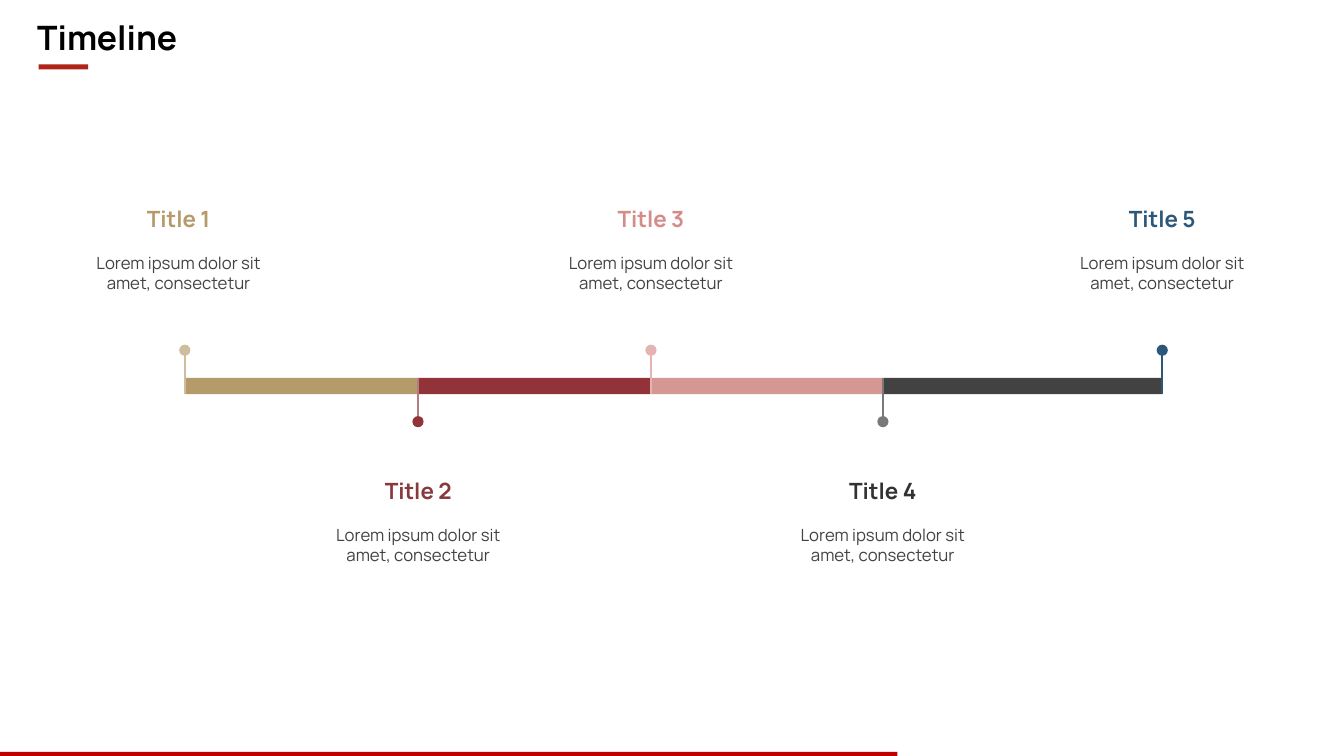
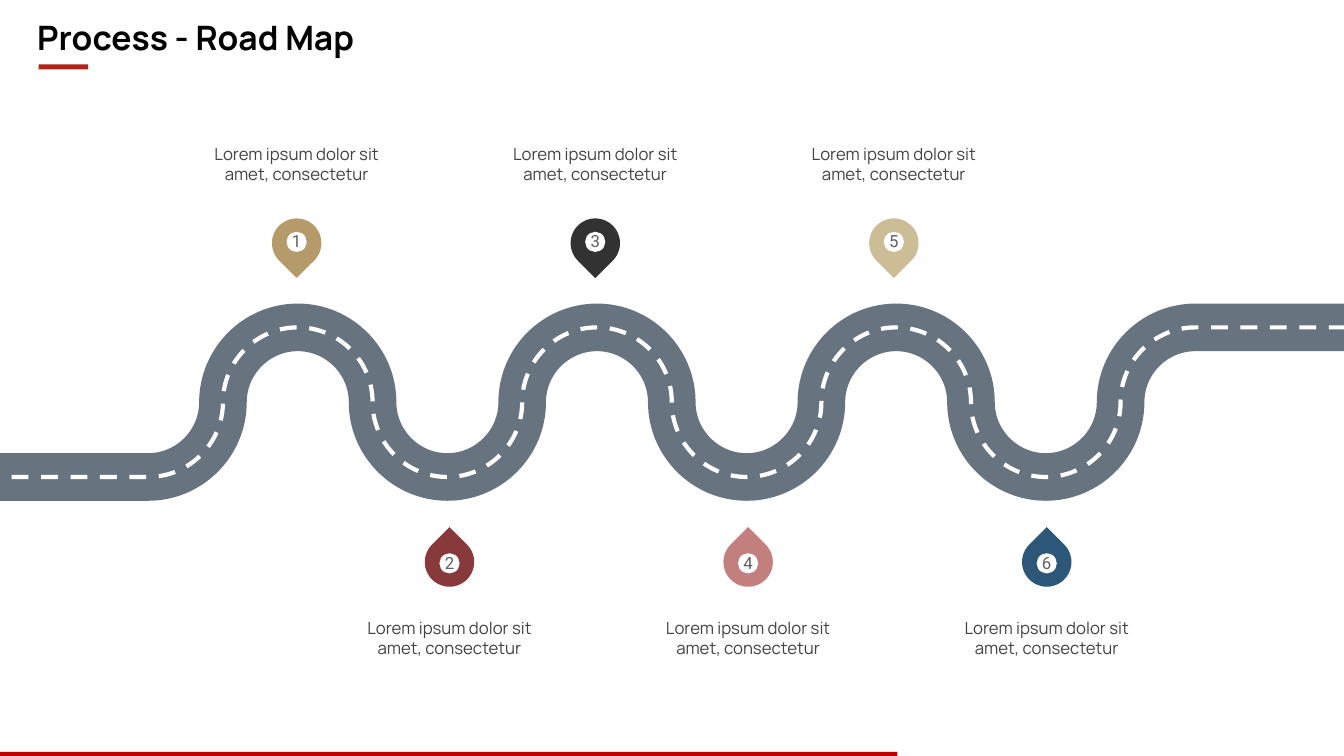
"""Build a timeline slide and a road map slide with a shared title style."""
from dataclasses import dataclass

from lxml import etree
from pptx import Presentation
from pptx.dml.color import RGBColor
from pptx.enum.dml import MSO_LINE
from pptx.enum.shapes import MSO_CONNECTOR, MSO_SHAPE
from pptx.enum.text import MSO_ANCHOR, MSO_AUTO_SIZE, PP_ALIGN
from pptx.oxml.ns import qn
from pptx.util import Pt

RECTANGLE, OVAL, TEAR = MSO_SHAPE.RECTANGLE, MSO_SHAPE.OVAL, MSO_SHAPE.TEAR
STRAIGHT = MSO_CONNECTOR.STRAIGHT
DASH = MSO_LINE.DASH
TOP, MIDDLE = MSO_ANCHOR.TOP, MSO_ANCHOR.MIDDLE
LEFT, CENTER = PP_ALIGN.LEFT, PP_ALIGN.CENTER
NO_FIT, FIT_SHAPE = MSO_AUTO_SIZE.NONE, MSO_AUTO_SIZE.SHAPE_TO_FIT_TEXT


@dataclass(frozen=True)
class Theme:
    font: str = "Manrope"
    number_font: str = "Roboto"
    title_size: int = 24
    heading_size: int = 16
    body_size: int = 12
    title: str = "000000"
    body: str = "424242"
    number: str = "5E5E5E"
    accent: str = "B02418"
    footer: str = "C00000"
    road: str = "677480"
    white: str = "FFFFFF"
    gold: str = "B69B6A"
    pale_gold: str = "CFBE9E"
    sand: str = "CDBD96"
    crimson: str = "923339"
    wine: str = "87393C"
    pale_wine: str = "B07E7F"
    pink: str = "D49793"
    rose: str = "D48C89"
    pale_pink: str = "E3B4B2"
    dusty_rose: str = "C27F7D"
    charcoal: str = "323232"
    gray: str = "797979"
    navy: str = "2D5779"


theme = Theme()
CAPTION = "Lorem ipsum dolor sit amet, consectetur"
CAPTION_WIDTH, CAPTION_HEIGHT = 147.6, 35.3


def add_filled_shape(slide, kind, left, top, width, height, color):
    shape = slide.shapes.add_shape(kind, Pt(left), Pt(top), Pt(width), Pt(height))
    shape.shadow.inherit = False
    shape.fill.solid()
    shape.fill.fore_color.rgb = RGBColor.from_string(color)
    shape.line.fill.background()
    return shape


def write_text(shape, text, size, color, font=theme.font, bold=False,
               align=CENTER, anchor=TOP, inset=3.6, wrap=True, fit=FIT_SHAPE):
    frame = shape.text_frame
    frame.margin_left = frame.margin_right = Pt(inset)
    frame.margin_top = frame.margin_bottom = Pt(inset)
    frame.vertical_anchor = anchor
    frame.auto_size = fit
    frame.word_wrap = wrap
    frame.text = text
    paragraph = frame.paragraphs[0]
    paragraph.alignment = align
    paragraph.font.name = font
    paragraph.font.size = Pt(size)
    paragraph.font.bold = bold
    paragraph.font.color.rgb = RGBColor.from_string(color)


presentation = Presentation()
presentation.slide_width, presentation.slide_height = Pt(960), Pt(540)
title_layout = presentation.slide_layouts[5]

for title, title_width in (("Timeline", 108.7), ("Process - Road Map", 234.7)):
    slide = presentation.slides.add_slide(title_layout)
    placeholder = slide.shapes.title
    placeholder.left, placeholder.top = Pt(23), Pt(8.6)
    placeholder.width, placeholder.height = Pt(title_width), Pt(36)
    write_text(placeholder, title, theme.title_size, theme.title,
               bold=True, align=LEFT, wrap=False)
    add_filled_shape(slide, RECTANGLE, 27.6, 46, 35.3, 3.6, theme.accent)
    add_filled_shape(slide, RECTANGLE, 0, 537, 641, 3.6, theme.footer)

timeline_slide, road_slide = presentation.slides

BAR_TOP, BAR_HEIGHT = 270, 11.5
BAR_BOTTOM = BAR_TOP + BAR_HEIGHT
DOT_SIZE = 8
HEADING_WIDTH, HEADING_HEIGHT = 64.8, 26
marks = [132, 298.6, 465, 630.7, 830.2]
text_centers = [127.6, 298.8, 465, 630.6, 830.2]
bar_colors = [theme.gold, theme.crimson, theme.pink, theme.body]
stem_colors = [theme.pale_gold, theme.pale_wine, theme.pale_pink, theme.gray, theme.navy]
dot_colors = [theme.pale_gold, theme.crimson, theme.pale_pink, theme.gray, theme.navy]
heading_colors = [theme.gold, theme.wine, theme.rose, theme.charcoal, theme.navy]

for start, end, color in zip(marks, marks[1:], bar_colors):
    add_filled_shape(timeline_slide, RECTANGLE, start, BAR_TOP, end - start, BAR_HEIGHT, color)

for index, (mark, text_center) in enumerate(zip(marks, text_centers)):
    if index % 2 == 0:
        dot_center, stem_end, heading_top = 250.2, BAR_BOTTOM, 143.3
    else:
        dot_center, stem_end, heading_top = 301.2, BAR_TOP, 337.5
    stem = timeline_slide.shapes.add_connector(
        STRAIGHT, Pt(mark), Pt(dot_center), Pt(mark), Pt(stem_end))
    stem.line.width = Pt(1.5)
    stem.line.color.rgb = RGBColor.from_string(stem_colors[index])
    etree.SubElement(stem._element.spPr, qn("a:effectLst"))
    add_filled_shape(timeline_slide, OVAL, mark - DOT_SIZE / 2, dot_center - DOT_SIZE / 2,
                     DOT_SIZE, DOT_SIZE, dot_colors[index])
    heading = timeline_slide.shapes.add_textbox(
        Pt(text_center - HEADING_WIDTH / 2), Pt(heading_top),
        Pt(HEADING_WIDTH), Pt(HEADING_HEIGHT))
    write_text(heading, f"Title {index + 1}", theme.heading_size,
               heading_colors[index], bold=True)
    caption = timeline_slide.shapes.add_textbox(
        Pt(text_center - CAPTION_WIDTH / 2), Pt(heading_top + 33.4),
        Pt(CAPTION_WIDTH), Pt(CAPTION_HEIGHT))
    write_text(caption, CAPTION, theme.body_size, theme.body)

RADIUS, ROAD_MIDDLE, LAST_BEND = 53.43, 287.3, 853.9
ROAD_START, ROAD_END = 961.2, -0.7
QUARTERS = 14
ARC_HANDLE = 0.55
heights = [ROAD_MIDDLE - RADIUS, ROAD_MIDDLE, ROAD_MIDDLE + RADIUS, ROAD_MIDDLE]
road_points = [(Pt(LAST_BEND - RADIUS * quarter), Pt(heights[quarter % 4]))
               for quarter in range(QUARTERS + 1)]
road_points.append((Pt(ROAD_END), Pt(ROAD_MIDDLE + RADIUS)))

for color, width, dash in ((theme.road, 34, None), (theme.white, 3, DASH)):
    builder = road_slide.shapes.build_freeform(Pt(ROAD_START), Pt(heights[0]))
    builder.add_line_segments(road_points, close=False)
    road = builder.convert_to_shape()
    road.shadow.inherit = False
    road.fill.background()
    road.line.width = Pt(width)
    road.line.color.rgb = RGBColor.from_string(color)
    road.line.dash_style = dash
    segments = list(road._element.iter(qn("a:lnTo")))
    corners = [(int(segment[0].get("x")), int(segment[0].get("y"))) for segment in segments]
    for quarter, segment in enumerate(segments[1:-1]):
        (x1, y1), (x2, y2) = corners[quarter:quarter + 2]
        reach_x, reach_y = round(ARC_HANDLE * (x2 - x1)), round(ARC_HANDLE * (y2 - y1))
        if quarter % 2 == 0:
            handles = [(x1 + reach_x, y1), (x2, y2 - reach_y)]
        else:
            handles = [(x1, y1 + reach_y), (x2 - reach_x, y2)]
        curve = etree.Element(qn("a:cubicBezTo"))
        for x, y in handles + [(x2, y2)]:
            etree.SubElement(curve, qn("a:pt"), x=str(x), y=str(y))
        segment.getparent().replace(segment, curve)

PIN_SIZE, DISC_SIZE, NUMBER_HEIGHT = 35.3, 14.4, 22.4
pin_colors = [theme.gold, theme.wine, theme.charcoal, theme.dusty_rose, theme.sand, theme.navy]
for index, color in enumerate(pin_colors):
    pair, below = divmod(index, 2)
    center = 211.9 + 213.3 * pair + 109.2 * below
    if below:
        pin_top, disc_top, caption_top, rotation = 383.8, 395.2, 437.8, 315
    else:
        pin_top, disc_top, caption_top, rotation = 156, 165.6, 98.8, 135
    pin = add_filled_shape(road_slide, TEAR, center - PIN_SIZE / 2, pin_top,
                           PIN_SIZE, PIN_SIZE, color)
    pin.rotation = rotation
    add_filled_shape(road_slide, OVAL, center - DISC_SIZE / 2, disc_top,
                     DISC_SIZE, DISC_SIZE, theme.white)
    number = road_slide.shapes.add_textbox(
        Pt(center - DISC_SIZE / 2), Pt(disc_top + (DISC_SIZE - NUMBER_HEIGHT) / 2 - 0.5),
        Pt(DISC_SIZE), Pt(NUMBER_HEIGHT))
    write_text(number, str(index + 1), theme.body_size, theme.number,
               font=theme.number_font, anchor=MIDDLE, fit=NO_FIT)
    caption = road_slide.shapes.add_textbox(
        Pt(center - CAPTION_WIDTH / 2), Pt(caption_top),
        Pt(CAPTION_WIDTH), Pt(CAPTION_HEIGHT))
    write_text(caption, CAPTION, theme.body_size, theme.body)

presentation.save("out.pptx")
